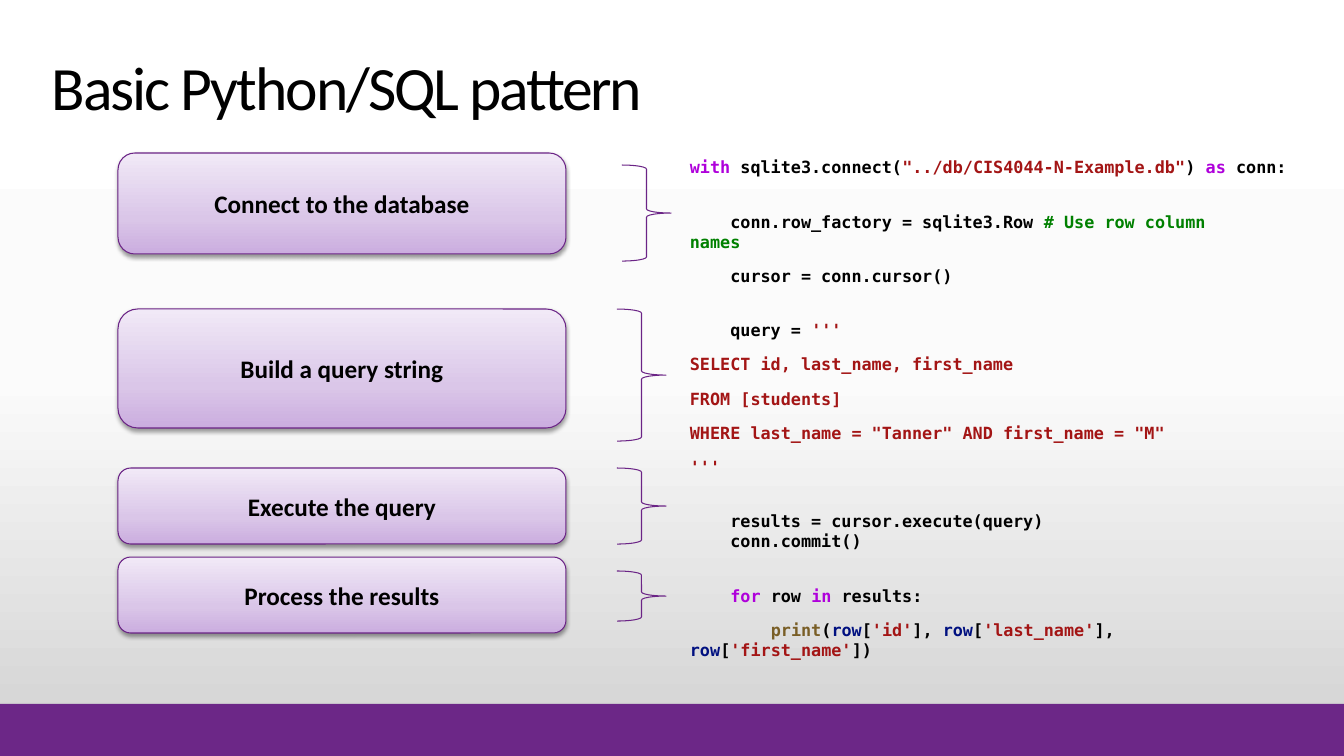
from copy import deepcopy
from pptx import Presentation
from pptx.dml.color import RGBColor as RGB
from pptx.enum.shapes import MSO_SHAPE as SHAPE
from pptx.enum.text import MSO_ANCHOR as ANCHOR, PP_ALIGN as ALIGN
from pptx.oxml import parse_xml
from pptx.oxml.ns import nsdecls, qn
from pptx.util import Pt

PX = 914400 / 100.8
COLORS = {
    "text": "000000", "purple": "6C2787", "line": "6B2486", "keyword": "AF00DB",
    "string": "A31515", "comment": "008000", "function": "795E26", "name": "001080",
}
PAGE_STOPS = [(0, "FFFFFF"), (50, "FBFBFB"), (100, "D1D1D1")]
BOX_STOPS = [(0, "CBADDF"), (35, "DAC6E8"), (100, "F1E9F7")]

STEPS = [
    ("Connect to the database", 153, 101, (622, 165, 96)),
    ("Build a query string", 309, 119, (617, 309, 132)),
    ("Execute the query", 468, 76, (617, 468, 76)),
    ("Process the results", 557, 76, (617, 571, 50)),
]

CODE = [
    [("with", "keyword"), (" sqlite3.connect(", "text"),
     ('"../db/CIS4044-N-Example.db"', "string"), (") ", "text"),
     ("as", "keyword"), (" conn:", "text")],
    [("\n    conn.row_factory = sqlite3.Row ", "text"),
     ("# Use row column\nnames", "comment")],
    [("    cursor = conn.cursor()", "text")],
    [("\n    query = ", "text"), ("'''", "string")],
    [("SELECT id, last_name, first_name", "string")],
    [("FROM [students]", "string")],
    [('WHERE last_name = "Tanner" AND first_name = "M"', "string")],
    [("'''", "string")],
    [("\n    results = cursor.execute(query)\n    conn.commit()", "text")],
    [("\n    ", "text"), ("for", "keyword"), (" row ", "text"),
     ("in", "keyword"), (" results:", "text")],
    [("        ", "text"), ("print", "function"), ("(", "text"),
     ("row", "name"), ("[", "text"), ("'id'", "string"), ("], ", "text"),
     ("row", "name"), ("[", "text"), ("'last_name'", "string"), ("], ", "text"),
     ("row", "name"), ("[", "text"), ("'first_name'", "string"), ("])", "text")],
]


class Deck:
    """Holds the slide and its style, and draws each kind of element."""

    def __init__(self):
        self.prs = Presentation()
        self.prs.slide_width, self.prs.slide_height = self.emu(1344, 756)
        self.s = self.prs.slides.add_slide(self.prs.slide_layouts[6])

    def emu(self, *px):
        return [round(v * PX) for v in px]

    def color(self, key):
        return RGB.from_string(COLORS[key])

    def gradient(self, fill, element, stops, angle):
        fill.gradient()
        fill.gradient_angle = angle
        gs_list = element.xpath(".//a:gsLst")[0]
        for gs in list(gs_list):
            gs_list.remove(gs)
        for pos, color in stops:
            gs_list.append(parse_xml(
                f'<a:gs {nsdecls("a")} pos="{pos * 1000}"><a:srgbClr val="{color}"/></a:gs>'))

    def background(self):
        self.gradient(self.s.background.fill, self.s._element, PAGE_STOPS, 270)

    def shape(self, kind, *box):
        sp = self.s.shapes.add_shape(kind, *self.emu(*box))
        sp.shadow.inherit = False
        sp.line.color.rgb = self.color("line")
        sp.line.width = Pt(0.75)
        return sp

    def footer(self, *box):
        sp = self.shape(SHAPE.RECTANGLE, *box)
        sp.fill.solid()
        sp.fill.fore_color.rgb = self.color("purple")
        sp.line.fill.background()

    def run(self, p, text, size, font="Calibri", color="text", bold=False):
        r = p.add_run()
        r.text = text
        r.font.size = Pt(size)
        r.font.name = font
        r.font.bold = bold
        r.font.color.rgb = self.color(color)
        return r

    def textbox(self, *box):
        tf = self.s.shapes.add_textbox(*self.emu(*box)).text_frame
        tf.word_wrap = True
        return tf

    def title(self, text, *box):
        tf = self.textbox(*box)
        tf.vertical_anchor = ANCHOR.BOTTOM
        r = self.run(tf.paragraphs[0], text, 44)
        r.font._element.set("spc", "-150")

    def step(self, text, *box):
        sp = self.shape(SHAPE.ROUNDED_RECTANGLE, *box)
        self.gradient(sp.fill, sp._element, BOX_STOPS, 90)
        sp._element.spPr.find(qn("a:effectLst")).append(parse_xml(
            f'<a:outerShdw {nsdecls("a")} blurRad="40000" dist="20000" dir="5400000" '
            'rotWithShape="0"><a:srgbClr val="000000"><a:alpha val="38000"/>'
            '</a:srgbClr></a:outerShdw>'))
        tf = sp.text_frame
        tf.vertical_anchor = ANCHOR.MIDDLE
        p = tf.paragraphs[0]
        p.alignment = ALIGN.CENTER
        self.run(p, text, 18, bold=True)

    def brace(self, *box):
        sp = self.shape(SHAPE.LEFT_BRACE, *box)
        sp.fill.background()
        sp.rotation = 180

    def code(self, lines, *box):
        tf = self.textbox(*box)
        for i, line in enumerate(lines):
            p = tf.add_paragraph() if i else tf.paragraphs[0]
            p.space_before = Pt(10 if i else 0)
            for text, color in line:
                for j, part in enumerate(text.split("\n")):
                    if j:
                        p.add_line_break()
                        br = p._p[-1]
                    if part:
                        r = self.run(p, part, 12, "DejaVu Sans Mono", color, True)
                        if j:
                            br.append(deepcopy(r.font._element))


def main():
    deck = Deck()
    deck.background()
    deck.footer(0, 704, 1344, 52)
    deck.title("Basic Python/SQL pattern", 42, 40, 1047, 88)
    deck.code(CODE, 680, 152, 627, 529)
    for text, top, height, (left, brace_top, brace_height) in STEPS:
        deck.brace(left, brace_top, 49, brace_height)
        deck.step(text, 118, top, 448, height)
    deck.prs.save("out.pptx")


if __name__ == "__main__":
    main()
